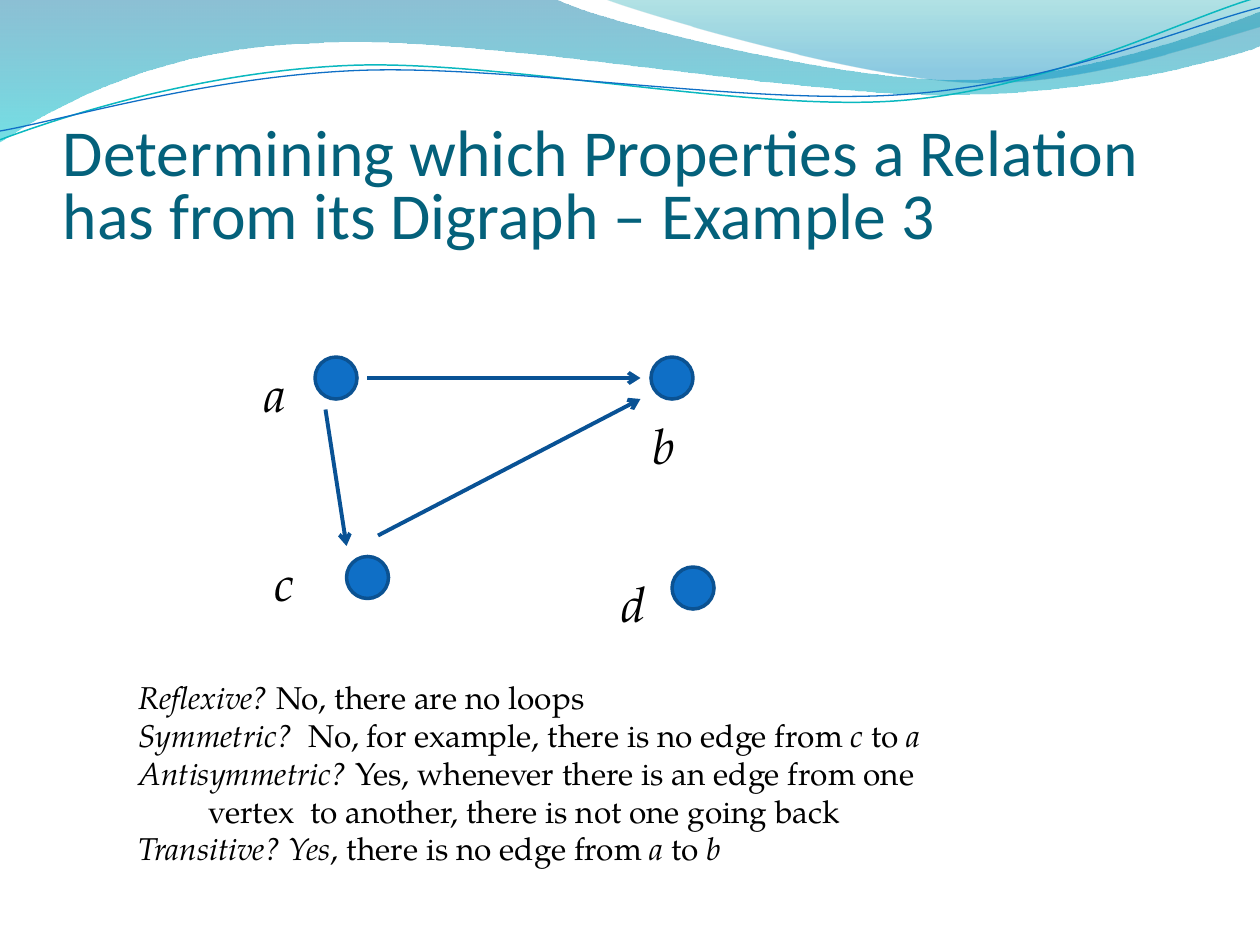
"""Build a slide on reading relation properties from a digraph."""
import pptx
import pptx.dml.color
import pptx.enum.shapes
import pptx.enum.text
import pptx.util
from lxml import etree
from pptx.oxml.ns import qn

Inches = pptx.util.Inches
Pt = pptx.util.Pt
RGBColor = pptx.dml.color.RGBColor

TITLE_TEAL = RGBColor(0x04, 0x61, 0x7B)
BLACK = RGBColor(0, 0, 0)
NODE_BLUE = RGBColor(0x0F, 0x6F, 0xC6)
NODE_RIM = RGBColor(0x0B, 0x52, 0x92)
EDGE_BLUE = RGBColor(0x09, 0x52, 0x95)
WAVE_CYAN = RGBColor(0x0A, 0xB8, 0xBF)
DEEP_TEAL = RGBColor(0x00, 0x74, 0xA1)
BRIGHT_TEAL = RGBColor(0x00, 0xC6, 0xCF)
SOFT_TEAL = RGBColor(0x00, 0xA1, 0xA9)
SOFT_BLUE = RGBColor(0x00, 0x8B, 0xBF)

TITLE = "Determining which Properties a Relation has from its Digraph – Example 3"
ANSWERS = [
    [("Reflexive?", True), (" No, there are no loops", False)],
    [("Symmetric?", True), ("  No, for example, there is no edge from ", False),
     ("c", True), (" to ", False), ("a", True)],
    [("Antisymmetric?", True), (" Yes, whenever there is an edge from one", False)],
    [("vertex  to another, there is not one going back", False)],
    [("Transitive? Yes", True), (", there is no edge from ", False),
     ("a", True), (" to ", False), ("b", True)],
]
ANSWER_INDENTS = {3: 0.56}

GRID_PER_INCH = 12
NODE_SIZE = 4
LABEL_WIDTH = 5
LABEL_HEIGHT = 0.57
NODES = {
    "a": {"at": (30, 34), "label": (24, 34)},
    "b": {"at": (62, 34), "label": (61, 39)},
    "c": {"at": (33, 53), "label": (25, 52)},
    "d": {"at": (64, 54), "label": (58, 54)},
}
EDGES = [((35, 36), (61, 36)), ((31, 39), (33, 52)), ((36, 51), (61, 38))]

BANDS = [
    {"outline": [(0, 0), (4.4, -0.01),
                 (4.76, 0.17, 6.64, 0.63, 7.58, 0.63), (8.53, 0.63, 9.58, 0.26, 10, 0.09),
                 (10.01, 0.36),
                 (9.83, 0.44, 8.7, 0.76, 7.46, 0.75), (6.22, 0.75, 3.82, 0.28, 2.57, 0.34),
                 (1.29, 0.36, 0.46, 0.83, -0.01, 1.13), (0, 0)],
     "stops": [(0, DEEP_TEAL, 45), (1, BRIGHT_TEAL, 55)]},
    {"outline": [(4.79, -0.01),
                 (5.09, 0.11, 6.82, 0.62, 7.69, 0.65), (8.56, 0.69, 9.61, 0.32, 10, 0.21),
                 (10, 0), (4.79, -0.01)],
     "stops": [(0, SOFT_TEAL, 30), (0.8, SOFT_BLUE, 45)]},
]
WAVES = [
    {"outline": [(0, 1.11),
                 (0.48, 0.93, 1.58, 0.57, 2.77, 0.52), (3.95, 0.47, 5.93, 0.89, 7.13, 0.8),
                 (8.33, 0.71, 9.38, 0.15, 9.98, -0.02)],
     "color": WAVE_CYAN, "width": 0.85},
    {"outline": [(0, 1.04),
                 (0.47, 0.96, 1.64, 0.61, 2.83, 0.56), (4.03, 0.51, 5.97, 0.84, 7.17, 0.75),
                 (8.36, 0.67, 9.41, 0.21, 10, 0.06)],
     "color": NODE_BLUE, "width": 0.75},
]


def on_grid(*steps):
    return [step / GRID_PER_INCH for step in steps]


def add_outline(slide, outline, close):
    points = [(Inches(segment[i]), Inches(segment[i + 1]))
              for segment in outline for i in range(0, len(segment), 2)]
    builder = slide.shapes.build_freeform(*points[0])
    builder.add_line_segments(points[1:], close=close)
    shape = builder.convert_to_shape()
    shape.shadow.inherit = False
    lines = iter(list(shape._element.spPr.iter(qn("a:lnTo"))))
    for segment in outline[1:]:
        steps = [next(lines) for _ in range(len(segment) // 2)]
        if len(steps) == 3:
            curve = etree.Element(qn("a:cubicBezTo"))
            steps[0].addprevious(curve)
            for step in steps:
                curve.append(step[0])
                step.getparent().remove(step)
    return shape


def add_band(slide, outline, stops):
    band = add_outline(slide, outline, True)
    band.line.fill.background()
    band.fill.gradient()
    band.fill.gradient_angle = 270
    for stop, (position, color, _) in zip(band.fill.gradient_stops, stops):
        stop.position = position
        stop.color.rgb = color
    tints = list(band._element.spPr.iter(qn("a:srgbClr")))
    for tint, (_, _, opacity) in zip(tints, stops):
        etree.SubElement(tint, qn("a:alpha")).set("val", str(opacity * 1000))


def add_wave(slide, outline, color, width):
    wave = add_outline(slide, outline, False)
    wave.fill.background()
    wave.line.color.rgb = color
    wave.line.width = Pt(width)


def add_node(slide, at):
    node = slide.shapes.add_shape(pptx.enum.shapes.MSO_SHAPE.OVAL,
                                  *map(Inches, on_grid(*at, NODE_SIZE, NODE_SIZE)))
    node.shadow.inherit = False
    node.fill.solid()
    node.fill.fore_color.rgb = NODE_BLUE
    node.line.color.rgb = NODE_RIM
    node.line.width = Pt(2)


def add_edge(slide, start, end):
    edge = slide.shapes.add_connector(pptx.enum.shapes.MSO_CONNECTOR.STRAIGHT,
                                      *map(Inches, on_grid(*start, *end)))
    edge.line.color.rgb = EDGE_BLUE
    edge.line.width = Pt(2.25)
    etree.SubElement(edge.line._get_or_add_ln(), qn("a:tailEnd")).set("type", "arrow")
    etree.SubElement(edge._element.spPr, qn("a:effectLst"))


def add_text(slide, box, paragraphs, *, size, font="TeX Gyre Pagella", color=BLACK,
             anchor=pptx.enum.text.MSO_ANCHOR.TOP, insets=(0.1, 0.05, 0.1, 0.05),
             spacing=None, indents=None):
    frame = slide.shapes.add_textbox(*map(Inches, box)).text_frame
    frame.word_wrap = True
    frame.vertical_anchor = anchor
    (frame.margin_left, frame.margin_top,
     frame.margin_right, frame.margin_bottom) = map(Inches, insets)
    for index, runs in enumerate(paragraphs):
        paragraph = frame.add_paragraph() if index else frame.paragraphs[0]
        if spacing:
            paragraph.line_spacing = spacing
        if indents and index in indents:
            paragraph._p.get_or_add_pPr().set("marL", str(Inches(indents[index])))
        for words, italic in runs:
            run = paragraph.add_run()
            run.text = words
            run.font.name = font
            run.font.size = Pt(size)
            run.font.italic = italic
            run.font.color.rgb = color


def main():
    deck = pptx.Presentation()
    deck.slide_width, deck.slide_height = Inches(10), Inches(7.5)
    slide = deck.slides.add_slide(deck.slide_layouts[6])
    for band in BANDS:
        add_band(slide, **band)
    for wave in WAVES:
        add_wave(slide, **wave)
    for node in NODES.values():
        add_node(slide, node["at"])
    add_text(slide, (*on_grid(12, 64), 7.25, 1.62), ANSWERS, size=18,
             indents=ANSWER_INDENTS)
    for start, end in EDGES:
        add_edge(slide, start, end)
    for letter, node in NODES.items():
        label_box = (*on_grid(*node["label"], LABEL_WIDTH), LABEL_HEIGHT)
        add_text(slide, label_box, [[(letter, True)]], size=28)
    add_text(slide, (0.5, 0.75, 9, 1.25), [[(TITLE, False)]], size=37.5, font="Calibri",
             color=TITLE_TEAL, anchor=pptx.enum.text.MSO_ANCHOR.BOTTOM,
             insets=(0, 0.05, 0, 0), spacing=0.8)
    deck.save("out.pptx")


if __name__ == "__main__":
    main()
